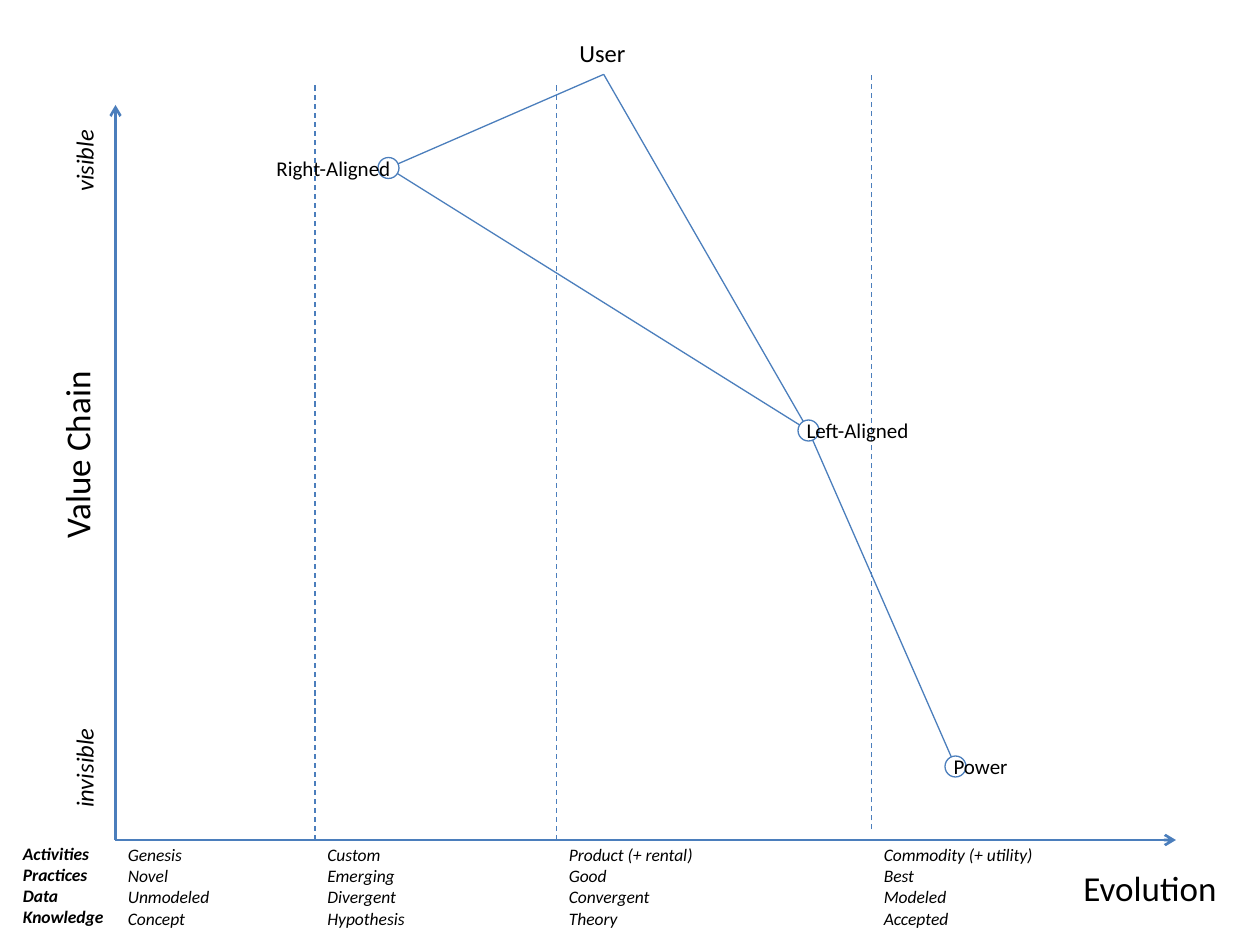
"""Build a value chain map: axes, evolution stages and linked components."""
import pptx
import pptx.util
import pptx.dml.color
import pptx.enum.dml
import pptx.enum.shapes
import pptx.enum.text
import pptx.oxml
import pptx.oxml.ns
import lxml.etree

Pt = pptx.util.Pt
TEXT = pptx.enum.text
COLORS = {"line": "4B7EBC", "text": "000000", "fill": "FFFFFF"}
FONT = "Calibri"
LEFT, BASE, DOT = 66, 480, 12

AXES = [((LEFT, BASE), (LEFT, 60)), ((LEFT, BASE), (672, BASE))]
LABELS = [
    ("Value Chain", (-11.5, 243.4, 110.9, 31.7), 20, False, 270),
    ("Evolution", (612, 491.8, 91.4, 31.7), 20, False, 0),
    ("visible", (23, 79.2, 50.4, 24.5), 14, True, 270),
    ("invisible", (18, 426.2, 60.5, 24.5), 14, True, 270),
    ("User", (324, 18, 41, 24.5), 14, False, 0),
]
STAGES = [
    (LEFT, 67, ("Genesis", "Novel", "Unmodeled", "Concept")),
    (180, 61.9, ("Custom", "Emerging", "Divergent", "Hypothesis")),
    (318, 89.3, ("Product (+ rental)", "Good", "Convergent", "Theory")),
    (498, 103, ("Commodity (+ utility)", "Best", "Modeled", "Accepted")),
]
HEADS = ("Activities", "Practices", "Data", "Knowledge")
DIVIDERS = [(180, BASE), (318, BASE), (498, 474)]
POINTS = {"User": (345, 42.5), "Left-Aligned": (462, 246),
          "Power": (546, 438), "Right-Aligned": (222, 96)}
LINKS = [("User", "Right-Aligned"), ("Right-Aligned", "Left-Aligned"),
         ("User", "Left-Aligned"), ("Power", "Left-Aligned")]

deck = pptx.Presentation()
deck.slide_width, deck.slide_height = Pt(720), Pt(540)
slide = deck.slides.add_slide(deck.slide_layouts[6])
shapes = slide.shapes


def tint(name):
    return pptx.dml.color.RGBColor.from_string(COLORS[name])


def style(par, size, bold=False, italic=False):
    font = par.font
    font.name, font.size = FONT, Pt(size)
    font.bold, font.italic = bold, italic
    font.color.rgb = tint("text")


def write(lines, box, size, italic=False, turn=0, bold=False):
    item = shapes.add_textbox(*map(Pt, box))
    item.rotation = turn
    frame = item.text_frame
    frame.text = "\n".join(lines)
    frame.word_wrap = False
    frame.auto_size = TEXT.MSO_AUTO_SIZE.SHAPE_TO_FIT_TEXT
    for par in frame.paragraphs:
        style(par, size, bold, italic)


def draw(start, end, width=0.75, dash=False, arrow=False):
    kind = pptx.enum.shapes.MSO_CONNECTOR.STRAIGHT
    item = shapes.add_connector(kind, *map(Pt, start + end))
    item.line.color.rgb = tint("line")
    item.line.width = Pt(width)
    if dash:
        item.line.dash_style = pptx.enum.dml.MSO_LINE.DASH
    qn = pptx.oxml.ns.qn
    if arrow:
        edge = item.line._get_or_add_ln()
        lxml.etree.SubElement(edge, qn("a:tailEnd"), type="arrow")
    lxml.etree.SubElement(item._element.spPr, qn("a:effectLst"))


def mark(name, right=False):
    x, y = POINTS[name]
    box = (x - DOT / 2, y - DOT / 2, DOT, DOT)
    item = shapes.add_shape(pptx.enum.shapes.MSO_SHAPE.ARC, *map(Pt, box))
    item.adjustments[0], item.adjustments[1] = 162, 161.867
    item.shadow.inherit = False
    item.fill.solid()
    item.fill.fore_color.rgb = tint("fill")
    item.line.color.rgb = tint("line")
    item.line.width = Pt(0.75)
    frame = item.text_frame
    frame.text = name
    frame.word_wrap = False
    frame.vertical_anchor = TEXT.MSO_ANCHOR.MIDDLE
    near, far = Pt(28.8), Pt(7.2)
    frame.margin_left, frame.margin_right = (far, near) if right else (near, far)
    par = frame.paragraphs[0]
    par.alignment = TEXT.PP_ALIGN.RIGHT if right else TEXT.PP_ALIGN.LEFT
    style(par, 12)


for start, end in AXES:
    draw(start, end, 1.5, arrow=True)
for text, box, size, italic, turn in LABELS:
    write([text], box, size, italic, turn)
for x, width, lines in STAGES:
    write(lines, (x, 479, width, 55.4), 10, True)
write(HEADS, (6, 478.3, 64, 55.4), 10, True, bold=True)
for x, low in DIVIDERS:
    draw((x, low), (x, low - 432), dash=True)
for one, two in LINKS:
    draw(POINTS[one], POINTS[two])
for name in ("Left-Aligned", "Power", "Right-Aligned"):
    mark(name, name == "Right-Aligned")

deck.save("out.pptx")
